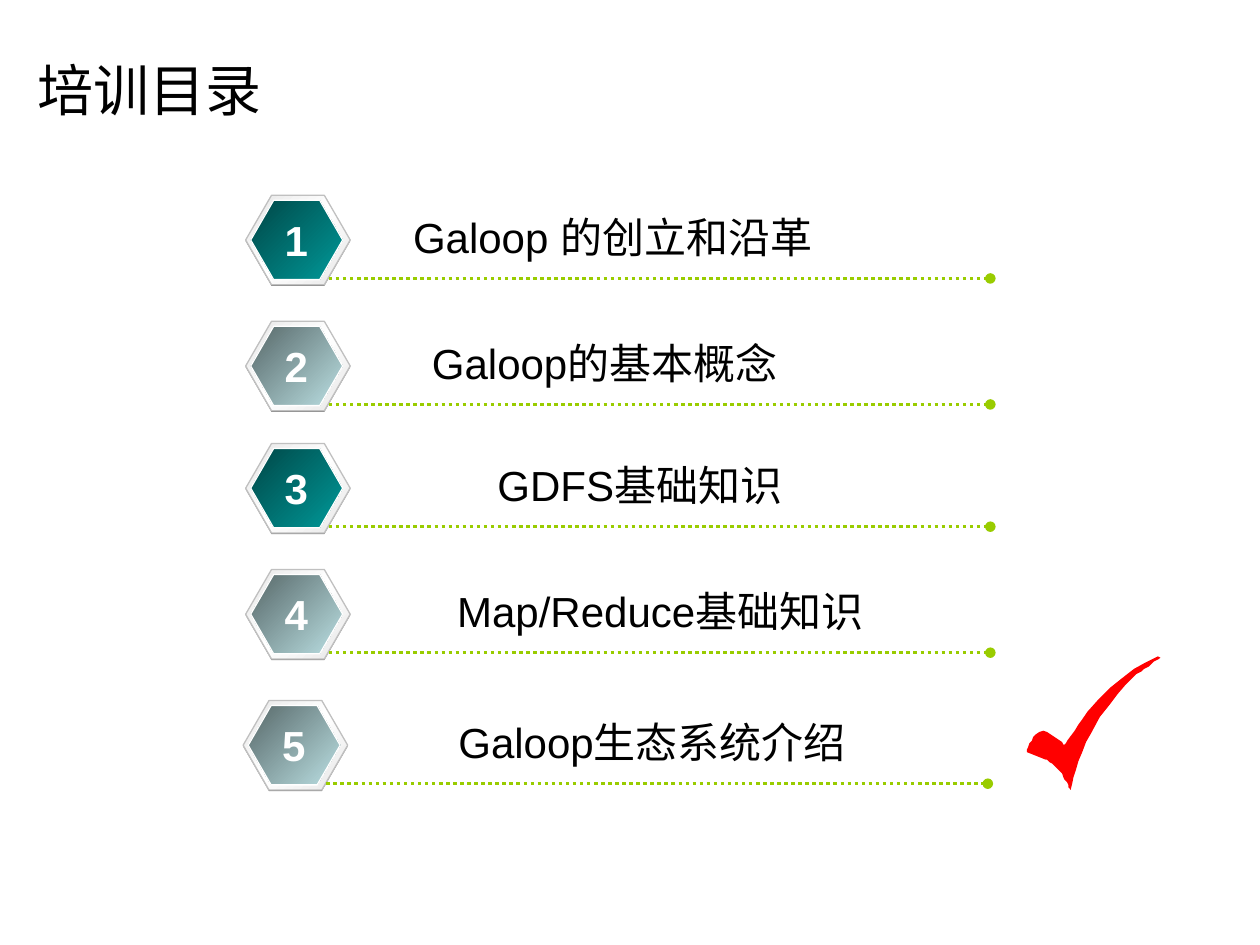
from copy import deepcopy
from dataclasses import dataclass

from lxml.etree import SubElement
from pptx import Presentation
from pptx.dml.color import RGBColor
from pptx.enum.dml import MSO_LINE
from pptx.enum.shapes import MSO_CONNECTOR, MSO_SHAPE
from pptx.enum.text import MSO_ANCHOR, MSO_AUTO_SIZE, PP_ALIGN
from pptx.oxml.ns import qn
from pptx.shapes.autoshape import Shape
from pptx.shapes.group import GroupShape
from pptx.slide import Slide
from pptx.util import Inches, Pt


@dataclass(frozen=True)
class Theme:
    font: str = "Arial"
    title_size: int = 32
    text_size: int = 24
    text: str = "000000"
    number: str = "FFFFFF"
    shade: str = "808080"
    rim: tuple[str, ...] = ("E6E6E6", "FFFFFF", "E6E6E6")
    rim_line: str = "C0C0C0"
    strong: tuple[str, ...] = ("004747", "009999")
    pale: tuple[str, ...] = ("576869", "BBE0E3")
    face_line: str = "FFFFFF"
    rule: str = "99CC00"
    check: str = "FF0000"


@dataclass(frozen=True)
class Entry:
    label: str
    top: float
    label_left: float
    label_width: float
    colors: tuple[str, ...]
    left: float = 1.95


THEME = Theme()

ENTRIES = [
    Entry("Galoop 的创立和沿革", 1.55, 3.18, 3.54, THEME.strong),
    Entry("Galoop的基本概念", 2.55, 3.33, 3.2, THEME.pale),
    Entry("GDFS基础知识", 3.52, 3.85, 2.6, THEME.strong),
    Entry("Map/Reduce基础知识", 4.52, 3.53, 3.5, THEME.pale),
    Entry("Galoop生态系统介绍", 5.56, 3.54, 3.5, THEME.pale, left=1.93),
]

# Outline of the check mark, in hundredths of an inch.
CHECK_POINTS = [
    (830, 603), (831, 603), (832, 604), (833, 605), (835, 606), (837, 608),
    (839, 610), (841, 612), (843, 614), (844, 617), (845, 619), (847, 621),
    (848, 623), (848, 625), (849, 626), (850, 627), (850, 626), (851, 622),
    (852, 617), (854, 611), (856, 604), (859, 597), (862, 589), (866, 582),
    (873, 569), (881, 559), (887, 551), (893, 544), (898, 539), (902, 535),
    (906, 533), (907, 532), (908, 531), (910, 530), (912, 529), (914, 527),
    (916, 525), (918, 524), (920, 523), (921, 522), (919, 521), (915, 523),
    (909, 526), (900, 531), (891, 538), (881, 546), (872, 555), (863, 565),
    (861, 568), (859, 571), (856, 575), (853, 580), (850, 584), (847, 588),
    (846, 590), (845, 591), (844, 591), (843, 589), (840, 587), (837, 585),
    (834, 583), (831, 581), (828, 580), (825, 581), (822, 583), (820, 585),
    (819, 588), (817, 590), (816, 593), (815, 595), (815, 597),
]


def color(value: str) -> RGBColor:
    return RGBColor.from_string(value)


def fill_shape(shape: Shape, colors: tuple[str, ...]) -> None:
    """Fill with one plain colour, or with a diagonal gradient of evenly spaced colours."""
    fill = shape.fill
    if len(colors) == 1:
        fill.solid()
        fill.fore_color.rgb = color(colors[0])
        return
    fill.gradient()
    fill.gradient_angle = 315
    stop_list = shape._element.spPr.find(qn("a:gradFill")).find(qn("a:gsLst"))
    while len(stop_list) < len(colors):
        stop_list.append(deepcopy(stop_list[0]))
    for index, (stop, value) in enumerate(zip(fill.gradient_stops, colors)):
        stop.position = index / (len(colors) - 1)
        stop.color.rgb = color(value)


def add_hexagon(group: GroupShape, left: float, top: float, width: float, height: float,
                colors: tuple[str, ...], line: str | None = None) -> None:
    shape = group.shapes.add_shape(
        MSO_SHAPE.HEXAGON, Inches(left), Inches(top), Inches(width), Inches(height))
    shape.shadow.inherit = False
    shape.adjustments[0] = 0.289
    fill_shape(shape, colors)
    if line:
        shape.line.color.rgb = color(line)
        shape.line.width = Pt(0.75)
    else:
        shape.line.fill.background()


def add_rule(group: GroupShape, left: float, top: float, width: float) -> None:
    """Draw a dotted line that ends in a round dot."""
    rule = group.shapes.add_connector(
        MSO_CONNECTOR.STRAIGHT, Inches(left), Inches(top), Inches(left + width), Inches(top))
    rule.line.color.rgb = color(THEME.rule)
    rule.line.width = Pt(2)
    rule.line.dash_style = MSO_LINE.ROUND_DOT
    properties = rule._element.spPr
    SubElement(properties.find(qn("a:ln")), qn("a:tailEnd"), type="oval")
    SubElement(properties, qn("a:effectLst"))


def add_text(group: GroupShape, text: str, left: float, top: float, width: float,
             text_color: str, number: bool = False) -> None:
    box = group.shapes.add_textbox(Inches(left), Inches(top), Inches(width), Inches(0.5))
    frame = box.text_frame
    frame.word_wrap = False
    frame.auto_size = MSO_AUTO_SIZE.SHAPE_TO_FIT_TEXT
    para = frame.paragraphs[0]
    para.text = text
    para.alignment = PP_ALIGN.CENTER if number else PP_ALIGN.LEFT
    para.font.name = THEME.font
    para.font.size = Pt(THEME.text_size)
    para.font.bold = number
    para.font.color.rgb = color(text_color)


def add_entry(page: Slide, number: int, entry: Entry) -> None:
    group = page.shapes.add_group_shape()
    left, top = entry.left, entry.top
    add_hexagon(group, left, top + 0.01, 0.83, 0.71, (THEME.shade,))
    add_hexagon(group, left, top, 0.83, 0.71, THEME.rim, THEME.rim_line)
    add_hexagon(group, left + 0.04, top + 0.04, 0.73, 0.63, entry.colors, THEME.face_line)
    add_rule(group, left + 0.66, top + 0.66, 5.25)
    add_text(group, entry.label, entry.label_left, top + 0.08, entry.label_width, THEME.text)
    add_text(group, str(number), left + 0.21, top + 0.1, 0.38, THEME.number, number=True)


def add_title(page: Slide, text: str) -> None:
    title = page.shapes.title
    title.left, title.top = Inches(0.2), Inches(0.44)
    title.width, title.height = Inches(9.58), Inches(0.53)
    frame = title.text_frame
    frame.auto_size = MSO_AUTO_SIZE.NONE
    frame.vertical_anchor = MSO_ANCHOR.MIDDLE
    para = frame.paragraphs[0]
    para.text = text
    para.alignment = PP_ALIGN.LEFT
    para.font.name = THEME.font
    para.font.size = Pt(THEME.title_size)
    para.font.color.rgb = color(THEME.text)


def add_check_mark(page: Slide) -> None:
    start, *others = CHECK_POINTS
    builder = page.shapes.build_freeform(*start, scale=Inches(0.01))
    builder.add_line_segments(others, close=True)
    check = builder.convert_to_shape()
    check.shadow.inherit = False
    fill_shape(check, (THEME.check,))
    check.line.fill.background()


def main() -> None:
    deck = Presentation()
    deck.slide_width, deck.slide_height = Inches(10), Inches(7.5)
    page = deck.slides.add_slide(deck.slide_layouts[5])
    add_title(page, "培训目录")
    for number, entry in enumerate(ENTRIES, start=1):
        add_entry(page, number, entry)
    add_check_mark(page)
    deck.save("out.pptx")


if __name__ == "__main__":
    main()
